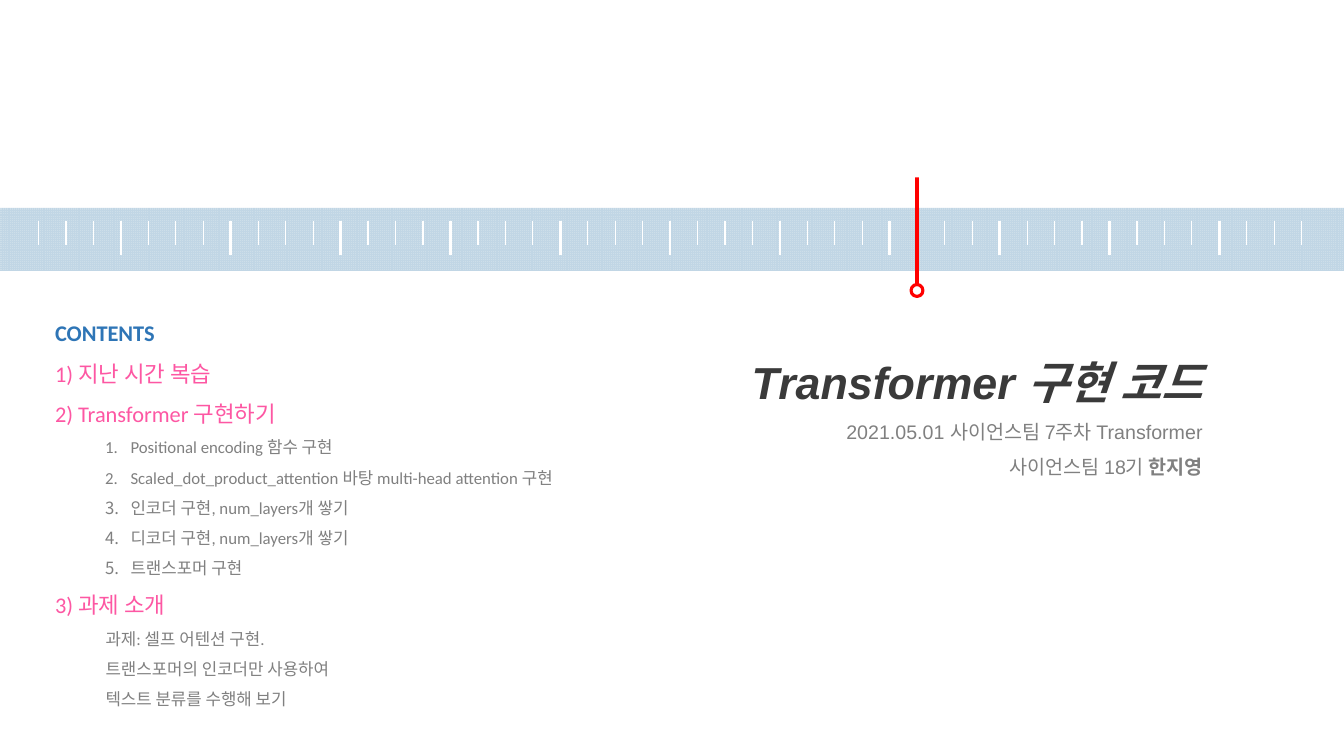
from dataclasses import dataclass

from lxml.etree import SubElement
from pptx import Presentation
from pptx.dml.color import RGBColor as RGB
from pptx.enum.dml import MSO_PATTERN
from pptx.enum.shapes import MSO_SHAPE as SHAPE
from pptx.enum.text import MSO_AUTO_SIZE as AUTO, PP_ALIGN as ALIGN
from pptx.oxml import parse_xml
from pptx.oxml.ns import nsdecls, qn
from pptx.util import Cm, Pt


@dataclass(frozen=True)
class Theme:
    white: RGB = RGB(0xFF, 0xFF, 0xFF)
    band: RGB = RGB(0xC1, 0xD6, 0xE5)
    band_back: RGB = RGB(0xCD, 0xDE, 0xE9)
    needle: RGB = RGB(0xFF, 0, 0)
    title: RGB = RGB(0x3A, 0x3A, 0x3A)
    grey: RGB = RGB(0x80, 0x80, 0x80)
    blue: RGB = RGB(0x2E, 0x75, 0xB6)
    pink: RGB = RGB(0xFD, 0x57, 0xA3)
    title_font: str = "Arial"
    contents_font: str = "Calibri"
    title_size: int = 32
    subtitle_size: int = 14
    heading_size: int = 16
    item_size: int = 12


@dataclass(frozen=True)
class Style:
    font: str
    size: int
    color: RGB
    bold: bool = False
    italic: bool = False
    align: ALIGN = ALIGN.LEFT
    level: int = 0
    margin: float = 0
    numbered: bool = False


@dataclass(frozen=True)
class Line:
    text: str
    style: Style
    bold_tail: str = ""


@dataclass(frozen=True)
class Ticks:
    columns: int
    height: float
    width_pt: float


T = Theme()
TITLE = Style(T.title_font, T.title_size, T.title, True, True, ALIGN.RIGHT)
SUBTITLE = Style(T.title_font, T.subtitle_size, T.grey, align=ALIGN.RIGHT)
CAPTION = Style(T.contents_font, T.heading_size, T.blue, True)
HEADING = Style(T.contents_font, T.heading_size, T.pink)
STEP = Style(T.contents_font, T.item_size, T.grey, level=1, margin=1.9, numbered=True)
NOTE = Style(T.contents_font, T.item_size, T.grey, level=1, margin=1.27)

TITLE_LINES = [
    Line("Transformer 구현 코드", TITLE),
    Line("2021.05.01 사이언스팀 7주차 Transformer", SUBTITLE),
    Line("사이언스팀 18기 ", SUBTITLE, "한지영"),
]
CONTENTS_LINES = [
    Line("CONTENTS", CAPTION),
    Line("1) 지난 시간 복습", HEADING),
    Line("2) Transformer 구현하기", HEADING),
    Line("Positional encoding 함수 구현", STEP),
    Line("Scaled_dot_product_attention 바탕 multi-head attention 구현", STEP),
    Line("인코더 구현, num_layers개 쌓기", STEP),
    Line("디코더 구현, num_layers개 쌓기", STEP),
    Line("트랜스포머 구현", STEP),
    Line("3) 과제 소개", HEADING),
    Line("과제: 셀프 어텐션 구현.", NOTE),
    Line("트랜스포머의 인코더만 사용하여", NOTE),
    Line("텍스트 분류를 수행해 보기", NOTE),
]
RULER_LEFT, RULER_TOP, RULER_WIDTH = 0.28, 5.56, 33.22
RULER = [Ticks(12, 0.86, 2.25), Ticks(48, 0.61, 1)]


def add_plain(shapes, kind: SHAPE, x: float, y: float, w: float, h: float):
    """Add a shape without shadow or outline."""
    sp = shapes.add_shape(kind, Cm(x), Cm(y), Cm(w), Cm(h))
    sp.shadow.inherit = False
    sp.line.fill.background()
    return sp


def set_borders(cell, visible: set[str], width_pt: float) -> None:
    """Show the named cell sides in white and hide the others."""
    tc_pr = cell._tc.get_or_add_tcPr()
    for i, side in enumerate("LRTB"):
        fill = (f'<a:solidFill><a:srgbClr val="{T.white}"/></a:solidFill>'
                if side in visible else "<a:noFill/>")
        tc_pr.insert(i, parse_xml(
            f'<a:ln{side} {nsdecls("a")} w="{Pt(width_pt)}">{fill}</a:ln{side}>'))


def add_ticks(shapes, ticks: Ticks) -> None:
    """Draw ruler ticks as the inner borders of a one-row table."""
    table = shapes.add_table(1, ticks.columns, Cm(RULER_LEFT), Cm(RULER_TOP),
                             Cm(RULER_WIDTH), Cm(ticks.height)).table
    table.first_row = table.horz_banding = False
    for i, column in enumerate(table.columns):
        column.width = Cm(RULER_WIDTH / ticks.columns)
        cell = table.cell(0, i)
        cell.margin_left = cell.margin_right = cell.margin_top = cell.margin_bottom = 0
        cell.fill.background()
        visible = {side for side, edge in (("L", 0), ("R", ticks.columns - 1)) if i != edge}
        set_borders(cell, visible, ticks.width_pt)
        # Small empty text keeps the row at its set height
        SubElement(cell.text_frame.paragraphs[0]._p, qn("a:endParaRPr"), sz="600")


def add_text(shapes, x: float, y: float, w: float, h: float, lines: list[Line]) -> None:
    tf = shapes.add_textbox(Cm(x), Cm(y), Cm(w), Cm(h)).text_frame
    tf.word_wrap = True
    tf.auto_size = AUTO.SHAPE_TO_FIT_TEXT
    for i, line in enumerate(lines):
        p = tf.add_paragraph() if i else tf.paragraphs[0]
        style = line.style
        p.alignment, p.level, p.line_spacing = style.align, style.level, 1.5
        p_pr = p._p.get_or_add_pPr()
        if style.margin:
            p_pr.set("marL", str(Cm(style.margin)))
            p_pr.set("indent", str(Cm(-0.64 if style.numbered else 0)))
        if style.numbered:
            SubElement(p_pr, qn("a:buFont"), typeface="+mj-lt")
            SubElement(p_pr, qn("a:buAutoNum"), type="arabicPeriod")
        p.font.name, p.font.size = style.font, Pt(style.size)
        p.font.bold, p.font.italic = style.bold, style.italic
        p.font.color.rgb = style.color
        p.add_run().text = line.text
        if line.bold_tail:
            r = p.add_run()
            r.text = line.bold_tail
            r.font.bold = True


def add_needle(shapes) -> None:
    group = shapes.add_group_shape().shapes
    bar = add_plain(group, SHAPE.RECTANGLE, 23.06, 4.47, 0.1, 2.9)
    bar.fill.solid()
    bar.fill.fore_color.rgb = T.needle
    ring = add_plain(group, SHAPE.OVAL, 22.96, 7.17, 0.3, 0.3)
    ring.fill.solid()
    ring.fill.fore_color.rgb = T.white
    ring.line.color.rgb = T.needle
    ring.line.width = Pt(2.25)


def main() -> None:
    prs = Presentation()
    prs.slide_width, prs.slide_height = Cm(33.87), Cm(19.05)
    shapes = prs.slides.add_slide(prs.slide_layouts[6]).shapes

    # Ruler band with long and short ticks
    band = add_plain(shapes, SHAPE.RECTANGLE, 0, 5.24, 33.87, 1.58)
    band.fill.patterned()
    band.fill.pattern = MSO_PATTERN.SMALL_GRID
    band.fill.fore_color.rgb = T.band
    band.fill.back_color.rgb = T.band_back
    for ticks in RULER:
        add_ticks(shapes, ticks)

    # Title, red needle and contents
    add_text(shapes, 15.57, 8.13, 14.99, 3.99, TITLE_LINES)
    add_needle(shapes)
    add_text(shapes, 1.14, 7.59, 13.54, 10.44, CONTENTS_LINES)

    prs.save("out.pptx")


if __name__ == "__main__":
    main()
